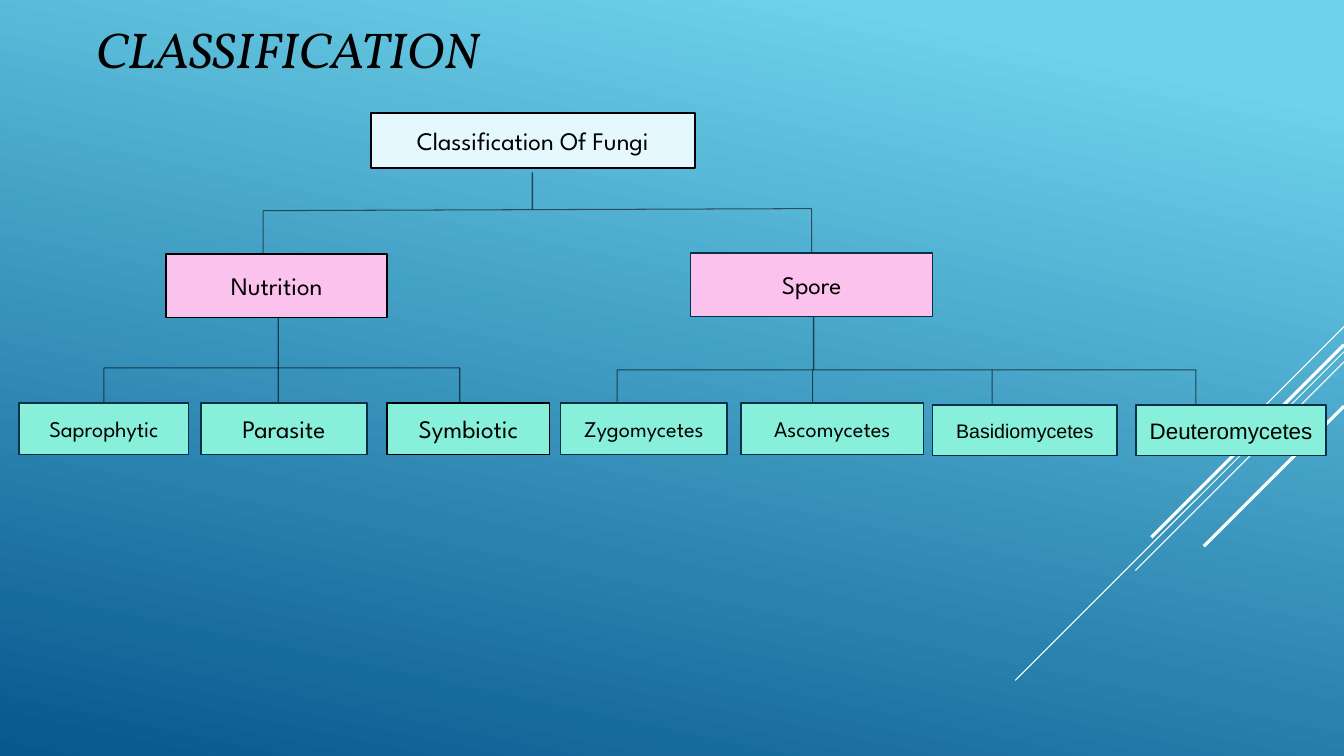
import lxml.etree
import pptx
import pptx.dml.color
import pptx.enum.shapes
import pptx.enum.text
import pptx.oxml.ns
import pptx.util
from collections import namedtuple

WIDTH, HEIGHT = pptx.util.Inches(13.33), pptx.util.Inches(7.5)
COLUMNS, ROWS = 1333, 750  # fine layout grid covering the slide

COLORS = {
    "sky": "6ED2EB", "deep": "06588E", "white": "FFFFFF", "black": "000000",
    "soot": "0D0D0D", "navy": "043148", "ice": "E4F8FD", "pink": "FAC2ED",
    "mint": "87EFDA",
}
SPARTAN, ARIAL, VOLLKORN = "League Spartan", "Arial", "Vollkorn"

# Places are (left, top, width, height) relative to the region's box
Node = namedtuple("Node", "text place fill line size font")
Branch = namedtuple("Branch", "box parent stem bus drops drop_end line leaves")


def color(name):
    return pptx.dml.color.RGBColor.from_string(COLORS[name])


def column(x):
    return round(WIDTH * x / COLUMNS)


def row(y):
    return round(HEIGHT * y / ROWS)


def set_format(target, **values):
    for name, value in values.items():
        setattr(target, name, value)


def add_line(slide, start, end, line_color, width, opacity=None):
    connector = slide.shapes.add_connector(
        pptx.enum.shapes.MSO_CONNECTOR.STRAIGHT,
        column(start[0]), row(start[1]), column(end[0]), row(end[1]))
    connector.line.width = pptx.util.Pt(width)
    connector.line.color.rgb = color(line_color)
    properties = connector._element.spPr
    if opacity is not None:
        fill = properties.find(".//" + pptx.oxml.ns.qn("a:srgbClr"))
        alpha = lxml.etree.SubElement(fill, pptx.oxml.ns.qn("a:alpha"))
        alpha.set("val", str(opacity * 1000))
    lxml.etree.SubElement(properties, pptx.oxml.ns.qn("a:effectLst"))


def add_node(slide, box, node):
    left, top, width, height = node.place
    shape = slide.shapes.add_shape(
        pptx.enum.shapes.MSO_SHAPE.RECTANGLE,
        column(box[0] + left), row(box[1] + top), column(width), row(height))
    shape.shadow.inherit = False
    shape.fill.solid()
    shape.fill.fore_color.rgb = color(node.fill)
    shape.line.color.rgb = color(node.line)
    shape.line.width = pptx.util.Pt(1.25)
    set_format(shape.text_frame, word_wrap=True,
               vertical_anchor=pptx.enum.text.MSO_ANCHOR.MIDDLE)
    paragraph = shape.text_frame.paragraphs[0]
    paragraph.alignment = pptx.enum.text.PP_ALIGN.CENTER
    run = paragraph.add_run()
    run.text = node.text
    set_format(run.font, name=node.font, size=pptx.util.Pt(node.size))
    run.font.color.rgb = color("black")


def add_background(slide):
    fill = slide.background.fill
    fill.gradient()
    fill.gradient_angle = 258
    for stop, (position, name) in zip(fill.gradient_stops,
                                      [(0.1, "sky"), (1, "deep")]):
        stop.position = position
        stop.color.rgb = color(name)


def add_diagonals(slide, box):
    """Draw 45 degree rays falling from the right edge of the box."""
    left, top, width, height = box
    right = left + width
    for drop, run, weight in [(0, 100, 0.75), (25, 326, 0.75), (35, 207, 0.75),
                              (18, 191, 2.25), (79, 139, 2.25)]:
        add_line(slide, (right, top + drop), (right - run, top + drop + run),
                 "white", weight)


def add_title(slide, box):
    title = slide.shapes.title
    left, top, width, height = box
    set_format(title, left=column(left), top=row(top),
               width=column(width), height=row(height))
    title.text = "CLASSIFICATION"
    set_format(title.text_frame, word_wrap=True,
               auto_size=pptx.enum.text.MSO_AUTO_SIZE.NONE,
               vertical_anchor=pptx.enum.text.MSO_ANCHOR.MIDDLE)
    paragraph = title.text_frame.paragraphs[0]
    paragraph.alignment = pptx.enum.text.PP_ALIGN.LEFT
    font = paragraph.runs[0].font
    set_format(font, name=VOLLKORN, size=pptx.util.Pt(36), italic=True)
    font.color.rgb = color("black")


def add_branch(slide, branch):
    """Draw a parent, its stem, the bus below, the drops and the leaves."""
    left, top = branch.box[:2]
    stem_x, stem_top = branch.stem
    bus_start, bus_end = branch.bus
    first, last = branch.drops[0], branch.drops[-1]

    def bus_at(x):
        return bus_start + (bus_end - bus_start) * (x - first) / (last - first)

    def link(start, end, line_color, width):
        add_line(slide, (left + start[0], top + start[1]),
                 (left + end[0], top + end[1]), line_color, width, 60)

    link((stem_x, stem_top), (stem_x, bus_at(stem_x)), "black", 1)
    link((first, bus_start), (last, bus_end), branch.line, 0.75)
    for x in branch.drops:
        link((x, bus_at(x)), (x, branch.drop_end), branch.line, 0.75)
    for node in (branch.parent, *branch.leaves):
        add_node(slide, branch.box, node)


BRANCHES = [
    Branch(  # root
        box=(261, 112, 544, 140),
        parent=Node("Classification Of Fungi", (107, 0, 321, 55),
                    "ice", "black", 18, SPARTAN),
        stem=(267, 59), bus=(97, 95), drops=(0, 544), drop_end=140,
        line="soot", leaves=()),
    Branch(  # nutrition
        box=(19, 252, 526, 199),
        parent=Node("Nutrition", (146, 0, 219, 63), "pink", "black", 18, SPARTAN),
        stem=(257, 63), bus=(113, 113), drops=(84, 257, 437), drop_end=148,
        line="black",
        leaves=(
            Node("Saprophytic", (0, 148, 168, 51), "mint", "navy", 16, SPARTAN),
            Node("Parasite", (180, 148, 165, 51), "mint", "navy", 18, SPARTAN),
            Node("Symbiotic", (365, 148, 161, 51), "mint", "black", 18, SPARTAN))),
    Branch(  # spore
        box=(556, 251, 759, 201),
        parent=Node("Spore", (129, 0, 240, 63), "pink", "navy", 18, SPARTAN),
        stem=(251, 63), bus=(116, 116), drops=(56, 250, 428, 630), drop_end=153,
        line="black",
        leaves=(
            Node("Zygomycetes", (0, 149, 165, 51), "mint", "navy", 16, SPARTAN),
            Node("Ascomycetes", (179, 149, 181, 51), "mint", "navy", 16, SPARTAN),
            Node("Basidiomycetes", (369, 151, 183, 50), "mint", "navy", 14, ARIAL),
            Node("Deuteromycetes", (571, 151, 188, 50), "mint", "navy", 16, ARIAL))),
]


def main():
    presentation = pptx.Presentation()
    set_format(presentation, slide_width=WIDTH, slide_height=HEIGHT)
    slide = presentation.slides.add_slide(presentation.slide_layouts[5])
    add_background(slide)
    add_diagonals(slide, (1007, 324, 326, 351))
    add_title(slide, (85, 7, 922, 81))
    for branch in BRANCHES:
        add_branch(slide, branch)
    presentation.save("out.pptx")


if __name__ == "__main__":
    main()
